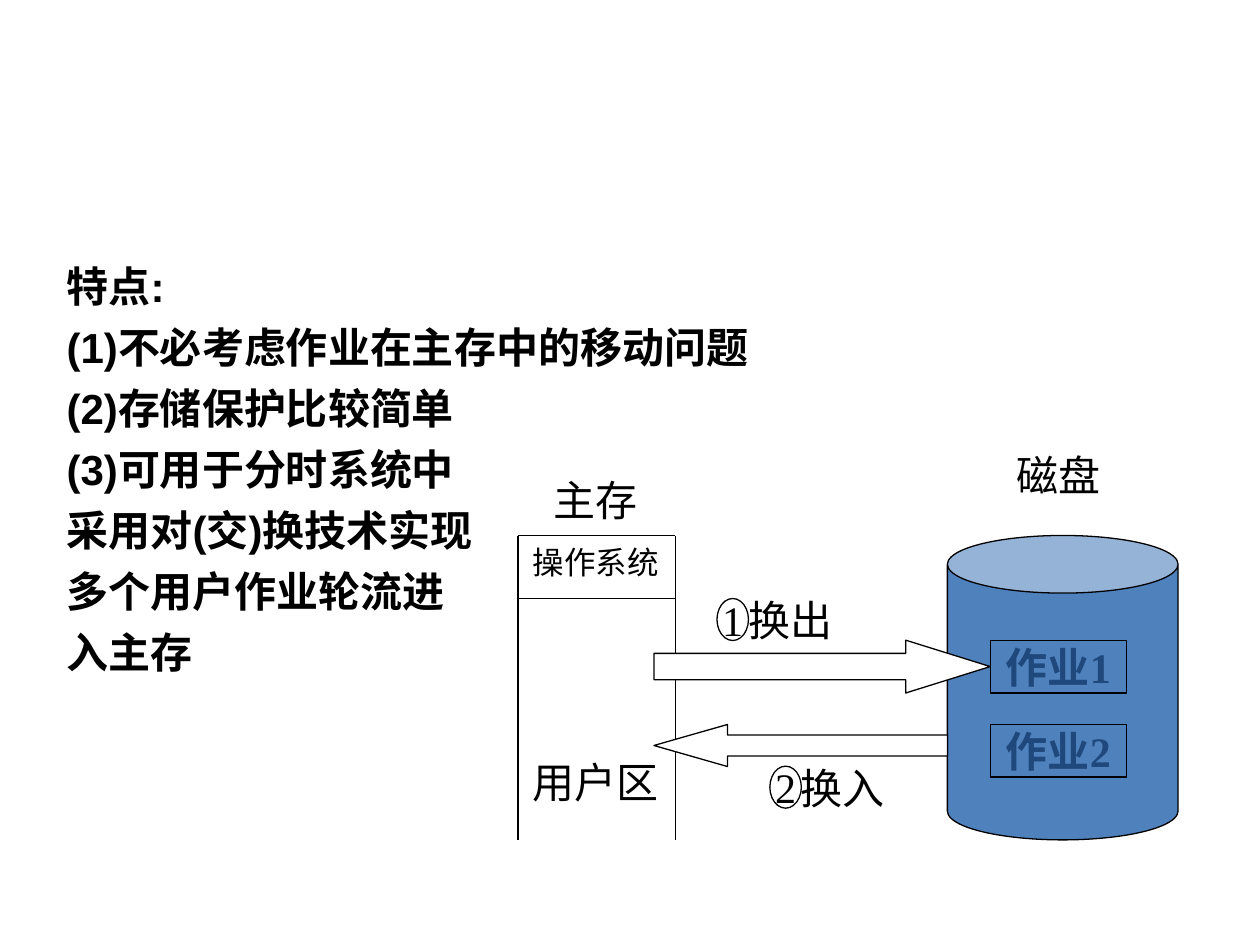
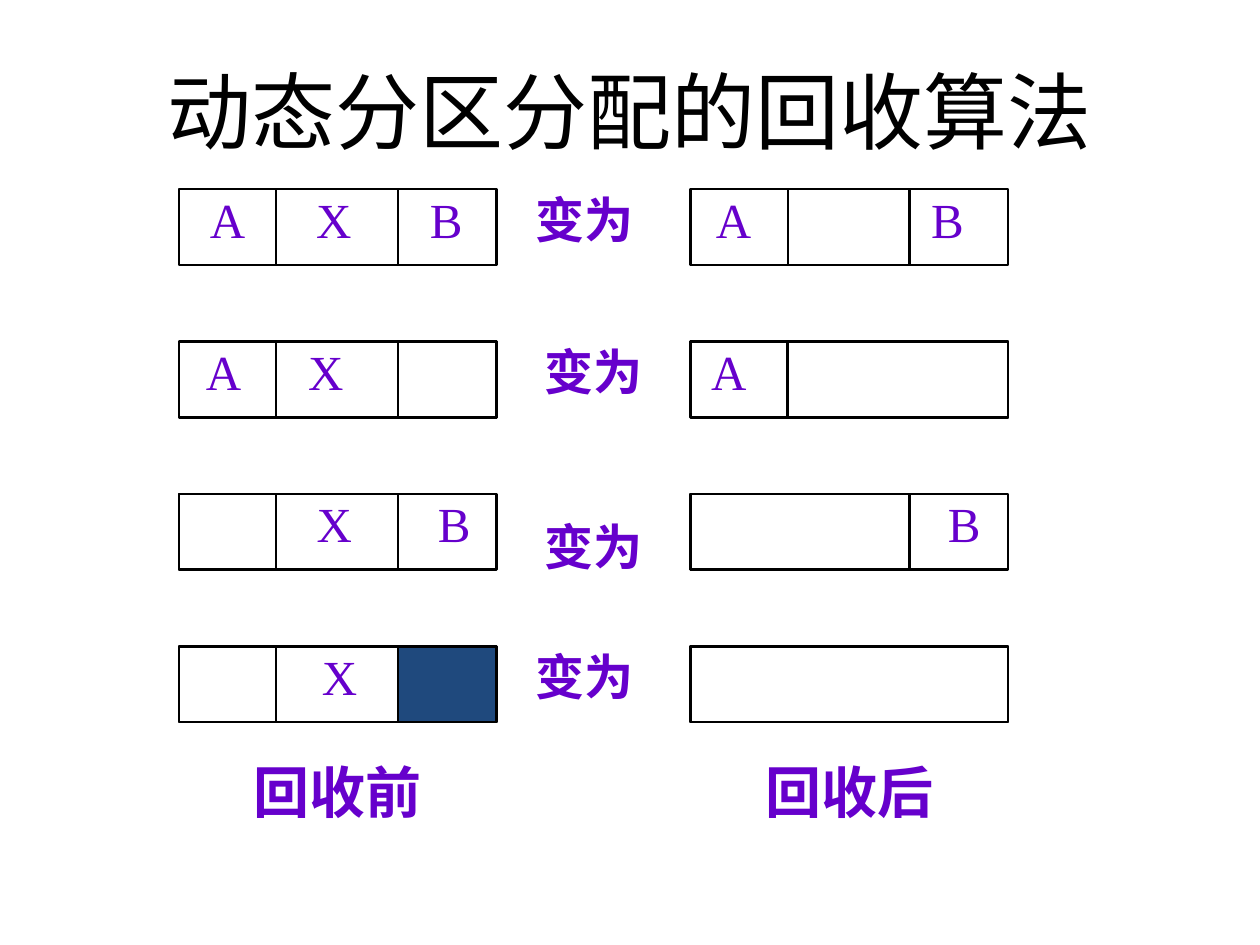
import pptx
import pptx.util
from pptx.dml.color import RGBColor
from pptx.enum.shapes import MSO_CONNECTOR, MSO_SHAPE
from pptx.enum.text import MSO_ANCHOR, PP_ALIGN
from pptx.oxml.ns import qn
from lxml import etree

Pt = pptx.util.Pt

BLACK = RGBColor(0x00, 0x00, 0x00)
WHITE = RGBColor(0xFF, 0xFF, 0xFF)
BLUE = RGBColor(0x4F, 0x81, 0xBD)
NAVY = RGBColor(0x1F, 0x49, 0x7D)
PURPLE = RGBColor(0x66, 0x00, 0xCC)
SERIF = "Times New Roman"

FEATURES = [
    "特点:",
    "(1)不必考虑作业在主存中的移动问题",
    "(2)存储保护比较简单",
    "(3)可用于分时系统中",
    "采用对(交)换技术实现",
    "多个用户作业轮流进",
    "入主存",
]

BAR_HEIGHT = 43.4
BAR_EDGES = [0, 55.6, 125.3, 181.4]
ROW_STEP = 87.1

# Each bar: letters with their tab stops, divider edges, outlined cells (from edge, to edge, fill)
BEFORE = [
    ([("A", 17.8), ("X", 78.4), ("B", 143.5)], [1, 2], []),
    ([("A", 15.5), ("X", 73.8)], [1, 2], [(2, 3, None)]),
    ([("X", 78.8), ("B", 148)], [1, 2], [(0, 1, None)]),
    ([("X", 81.8)], [1, 2], [(0, 1, None), (2, 3, NAVY)]),
]
AFTER = [
    ([("A", 14.5), ("B", 137.4)], [1, 2], [(1, 2, None)]),
    ([("A", 11.7)], [1], [(1, 3, None)]),
    ([("B", 147)], [2], [(0, 2, None)]),
    ([], [], [(0, 3, None)]),
]
# Alignment and top inset of the word between the two bars of each row
BECOMES = [(PP_ALIGN.LEFT, 0), (PP_ALIGN.CENTER, 0),
           (PP_ALIGN.CENTER, 13), (PP_ALIGN.LEFT, 0)]


def format_text(p, size, color=BLACK, font=SERIF, bold=False):
    for r in p.runs:
        r.font.size = Pt(size)
        r.font.name = font
        r.font.bold = bold
        r.font.color.rgb = color


def add_box(s, kind, x, y, w, h, fill=WHITE, line=None):
    """Add a flat shape; line is the outline width, None for no outline."""
    sp = s.shapes.add_shape(kind, Pt(x), Pt(y), Pt(w), Pt(h))
    sp.shadow.inherit = False
    if fill is None:
        sp.fill.background()
    else:
        sp.fill.solid()
        sp.fill.fore_color.rgb = fill
    if line is None:
        sp.line.fill.background()
    else:
        sp.line.color.rgb = BLACK
        sp.line.width = Pt(line)
    return sp


def add_line(s, x1, y1, x2, y2, width):
    cn = s.shapes.add_connector(MSO_CONNECTOR.STRAIGHT, Pt(x1), Pt(y1), Pt(x2), Pt(y2))
    cn.line.color.rgb = BLACK
    cn.line.width = Pt(width)
    etree.SubElement(cn._element.spPr, qn("a:effectLst"))


def add_label(s, text, x, y, w, h, size=24, kind=MSO_SHAPE.RECTANGLE,
              fill=WHITE, line=None, color=BLACK, bold=False):
    """Add a shape whose text is centred and may run past its edges."""
    sp = add_box(s, kind, x, y, w, h, fill, line)
    tf = sp.text_frame
    tf.word_wrap = False
    tf.vertical_anchor = MSO_ANCHOR.MIDDLE
    p = tf.paragraphs[0]
    p.text = text
    p.alignment = PP_ALIGN.CENTER
    format_text(p, size, color, bold=bold)


def add_top_text(sp, text, size, align, bold=False, top=0):
    """Set purple text at the top of a shape, without side margins."""
    tf = sp.text_frame
    tf.margin_left = tf.margin_right = tf.margin_bottom = 0
    tf.margin_top = Pt(top)
    tf.word_wrap = True
    tf.vertical_anchor = MSO_ANCHOR.TOP
    p = tf.paragraphs[0]
    p.text = text
    p.alignment = align
    format_text(p, size, PURPLE, bold=bold)
    return p


def add_features(s, x, y, w, h):
    tf = s.shapes.add_textbox(Pt(x), Pt(y), Pt(w), Pt(h)).text_frame
    tf.word_wrap = True
    for i, text in enumerate(FEATURES):
        p = tf.add_paragraph() if i else tf.paragraphs[0]
        p.text = text
        p.space_before = Pt(6)
        format_text(p, 24, font="Arial", bold=True)


def add_main_memory(s, x, y, w, h):
    for side in (x, x + w):
        add_line(s, side, y, side, y + h, 0.75)
    for top in (y, y + 36):
        add_line(s, x, top, x + w, top, 0.75)
    for text, dy, height, size in [("操作系统", 5.8, 18, 18), ("用户区", 131.8, 18, 24),
                                   ("主存", -34.6, 28.8, 24)]:
        add_label(s, text, x + 11.5, y + dy, 66, height, size)


def add_disk(s, x, y, w, h):
    add_box(s, MSO_SHAPE.CAN, x, y, w, h, BLUE, 0.75)
    for i, job in enumerate(["作业1", "作业2"]):
        add_label(s, job, x + 24.5, y + 59.8 + 48 * i, 77.8, 30.2,
                  fill=BLUE, line=0.75, color=NAVY, bold=True)
    add_label(s, "磁盘", x + 24.5, y - 48.2, 77.8, 26.6)


def add_swap(s, x, y):
    """Add the arrows out to the disk and back, each with a numbered label."""
    for number, text, dx, dy in [("1", "换出", 36, 0), ("2", "换入", 66.2, 95.8)]:
        add_label(s, text, x + dx + 5.8, y + dy, 72, 24)
        add_label(s, number, x + dx, y + dy, 18, 24, kind=MSO_SHAPE.OVAL, line=0.75)
    for kind, dy, w, h, head in [(MSO_SHAPE.LEFT_ARROW, 72, 167.8, 24, 1.75),
                                 (MSO_SHAPE.RIGHT_ARROW, 23.8, 192.2, 30.2, 1.6)]:
        arrow = add_box(s, kind, x, y + dy, w, h, line=0.75)
        arrow.adjustments[0] = 0.5
        arrow.adjustments[1] = head


def add_bar(s, x, y, letters, dividers, cells):
    """Add a memory bar whose letters stand at tab stops."""
    bar = add_box(s, MSO_SHAPE.RECTANGLE, x, y, BAR_EDGES[-1], BAR_HEIGHT, line=1.5)
    if letters:
        text = "".join("\t" + letter for letter, _ in letters)
        p = add_top_text(bar, text, 28, PP_ALIGN.LEFT)
        tabs = etree.SubElement(p._p.get_or_add_pPr(), qn("a:tabLst"))
        for _, stop in letters:
            etree.SubElement(tabs, qn("a:tab"), pos=str(int(Pt(stop))), algn="l")
    for i in dividers:
        add_line(s, x + BAR_EDGES[i], y, x + BAR_EDGES[i], y + BAR_HEIGHT, 1.5)
    for start, end, fill in cells:
        left, right = BAR_EDGES[start], BAR_EDGES[end]
        add_box(s, MSO_SHAPE.RECTANGLE, x + left, y, right - left, BAR_HEIGHT, fill, 1.5)


def add_bar_column(s, x, y, bars, caption):
    for i, bar in enumerate(bars):
        add_bar(s, x, y + ROW_STEP * i, *bar)
    sp = add_box(s, MSO_SHAPE.RECTANGLE, x + 21.6, y + 324.7, 138.6, 47.5)
    add_top_text(sp, caption, 32, PP_ALIGN.CENTER, bold=True)


def add_becomes_column(s, x, y):
    for i, (align, top) in enumerate(BECOMES):
        sp = add_box(s, MSO_SHAPE.RECTANGLE, x, y + ROW_STEP * i, 66.2, BAR_HEIGHT)
        add_top_text(sp, "变为", 28, align, bold=True, top=top)


def build_swapping_slide(prs):
    s = prs.slides.add_slide(prs.slide_layouts[6])
    add_features(s, 31, 145.4, 660, 351)
    add_main_memory(s, 296, 306, 90, 174)
    add_disk(s, 541.4, 306, 131.8, 174)
    add_swap(s, 373.7, 342)


def build_reclaim_slide(prs):
    s = prs.slides.add_slide(prs.slide_layouts[5])
    title = s.shapes.title
    title.left, title.top, title.width, title.height = Pt(54), Pt(18), Pt(612), Pt(90)
    title.text_frame.vertical_anchor = MSO_ANCHOR.MIDDLE
    p = title.text_frame.paragraphs[0]
    p.text = "动态分区分配的回收算法"
    p.alignment = PP_ALIGN.CENTER
    format_text(p, 48, font="Calibri")
    add_bar_column(s, 102.2, 108, BEFORE, "回收前")
    add_becomes_column(s, 306, 108)
    add_bar_column(s, 394.6, 108, AFTER, "回收后")


def main():
    prs = pptx.Presentation()
    prs.slide_width, prs.slide_height = Pt(720), Pt(540)
    build_swapping_slide(prs)
    build_reclaim_slide(prs)
    prs.save("out.pptx")


if __name__ == "__main__":
    main()
